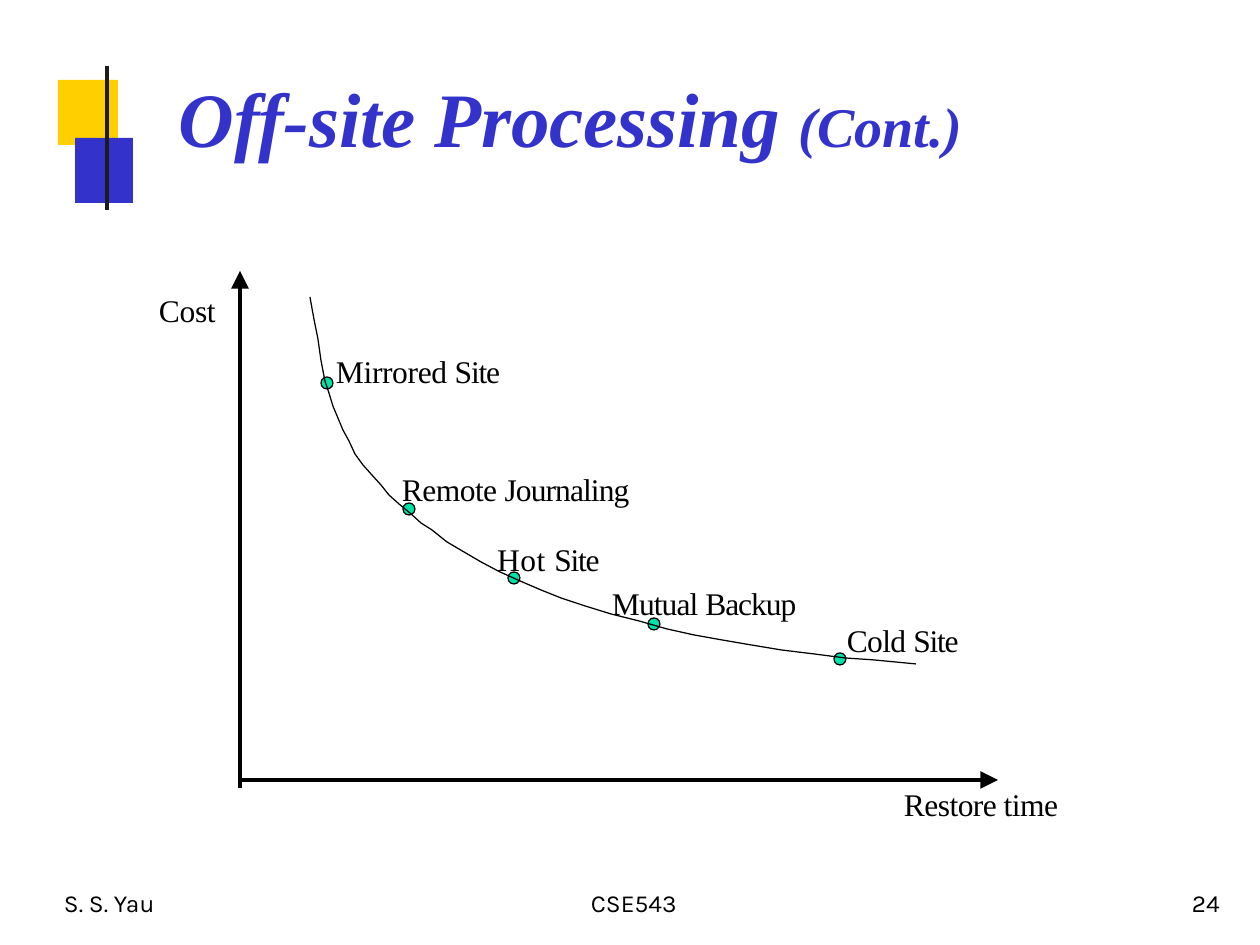
import pptx
import pptx.dml.color
import pptx.enum.shapes
import pptx.oxml.ns
import pptx.util
from lxml import etree

PX = 914400 // 126
SERIF, SANS = "Times New Roman", "Karla"
SHAPE = pptx.enum.shapes.MSO_SHAPE
COLORS = {
    "gold": "FFCF00",
    "blue": "3333CC",
    "bar": "1C1C1C",
    "black": "000000",
    "dot": "00E3A8",
}
CURVE = [
    (310, 297), (314, 319), (318, 339), (321, 360), (325, 381), (329, 393),
    (333, 406), (338, 418), (343, 430), (349, 441), (355, 454), (363, 465),
    (372, 475), (381, 485), (389, 495), (399, 504), (410, 513), (421, 523),
    (432, 530), (447, 542), (464, 552), (481, 562), (500, 572), (520, 581),
    (541, 590), (561, 598), (585, 606), (611, 614), (639, 621), (667, 629),
    (694, 635), (722, 640), (751, 645), (781, 650), (814, 654), (845, 658),
    (874, 660), (916, 664),
]
SITES = [
    ((327, 383), (336, 352, 166), [("Mirrored ", -0.2), ("Site", -0.7)]),
    ((409, 509), (402, 470, 230), [("Remote ", -0.3), ("Journaling", -0.5)]),
    ((514, 578), (497, 540, 106), [("Hot ", 0.3), ("Site", -0.7)]),
    ((654, 624), (612, 584, 188), [("Mutual", -0.5), (" Backup", -0.6)]),
    ((840, 659), (847, 621, 116), [("Cold ", -0.4), ("Site", -0.7)]),
]
FOOTERS = [("S. S. Yau", 64, 172), ("CSE543", 591, 102), ("24", 1192, 36)]


def px(*values):
    return [v * PX for v in values]


def rgb(name):
    return pptx.dml.color.RGBColor.from_string(COLORS[name])


def add_block(s, shape, box, fill, line=None):
    sp = s.shapes.add_shape(shape, *px(*box))
    sp.shadow.inherit = False
    sp.fill.solid()
    sp.fill.fore_color.rgb = rgb(fill)
    if line:
        sp.line.color.rgb = rgb(line)
        sp.line.width = pptx.util.Pt(0.72)
    else:
        sp.line.fill.background()


def add_line(s, ends, color, width, arrow=False):
    kind = pptx.enum.shapes.MSO_CONNECTOR.STRAIGHT
    cxn = s.shapes.add_connector(kind, *px(*ends))
    cxn.line.color.rgb = rgb(color)
    cxn.line.width = pptx.util.Pt(width)
    if arrow:
        tail = etree.SubElement(cxn.line._get_or_add_ln(), pptx.oxml.ns.qn("a:tailEnd"))
        for key, value in (("type", "triangle"), ("w", "lg"), ("len", "lg")):
            tail.set(key, value)
    etree.SubElement(cxn._element.spPr, pptx.oxml.ns.qn("a:effectLst"))


def add_curve(s, points):
    builder = s.shapes.build_freeform(*points[0], scale=PX)
    builder.add_line_segments(points[1:], close=False)
    sp = builder.convert_to_shape()
    sp.shadow.inherit = False
    sp.fill.background()
    sp.line.color.rgb = rgb("black")
    sp.line.width = pptx.util.Pt(0.72)


def add_text(s, box, runs, font=SERIF, color="black", bold=False):
    tf = s.shapes.add_textbox(*px(*box)).text_frame
    tf.margin_left = tf.margin_top = tf.margin_right = tf.margin_bottom = 0
    tf.word_wrap = True
    p = tf.paragraphs[0]
    for text, size, spacing in runs:
        r = p.add_run()
        r.text = text
        r.font.name = font
        r.font.size = pptx.util.Pt(size)
        r.font.bold = r.font.italic = bold
        r.font.color.rgb = rgb(color)
        r.font._element.set("spc", str(round(spacing * 100)))


def add_header(s):
    add_block(s, SHAPE.RECTANGLE, (58, 80, 60, 65), "gold")
    add_block(s, SHAPE.RECTANGLE, (75, 138, 58, 65), "blue")
    add_line(s, (107, 66, 107, 210), "bar", 2.52)
    title = [("Off-site Processing ", 44, -0.1), ("(Cont.)", 32, 0)]
    add_text(s, (179, 71, 988, 93), title, color="blue", bold=True)


def add_cost_graph(s):
    add_line(s, (240, 780, 998, 780), "black", 2, arrow=True)
    add_line(s, (240, 788, 240, 271), "black", 2, arrow=True)
    for (x, y), _, _ in SITES:
        add_block(s, SHAPE.OVAL, (x - 6, y - 6, 12, 12), "dot", "black")
    add_curve(s, CURVE)
    add_text(s, (159, 291, 70, 40), [("Cost", 18, -0.2)])
    add_text(s, (904, 785, 160, 40), [("Restore time", 18, -0.3)])
    for _, (left, top, width), runs in SITES:
        sized = [(text, 18, spacing) for text, spacing in runs]
        add_text(s, (left, top, width, 40), sized)


def main():
    prs = pptx.Presentation()
    prs.slide_width = pptx.util.Inches(10)
    prs.slide_height = pptx.util.Inches(7.5)
    s = prs.slides.add_slide(prs.slide_layouts[6])
    add_header(s)
    add_cost_graph(s)
    for text, left, width in FOOTERS:
        add_text(s, (left, 888, width, 27), [(text, 14, 0)], font=SANS)
    prs.save("out.pptx")


if __name__ == "__main__":
    main()
